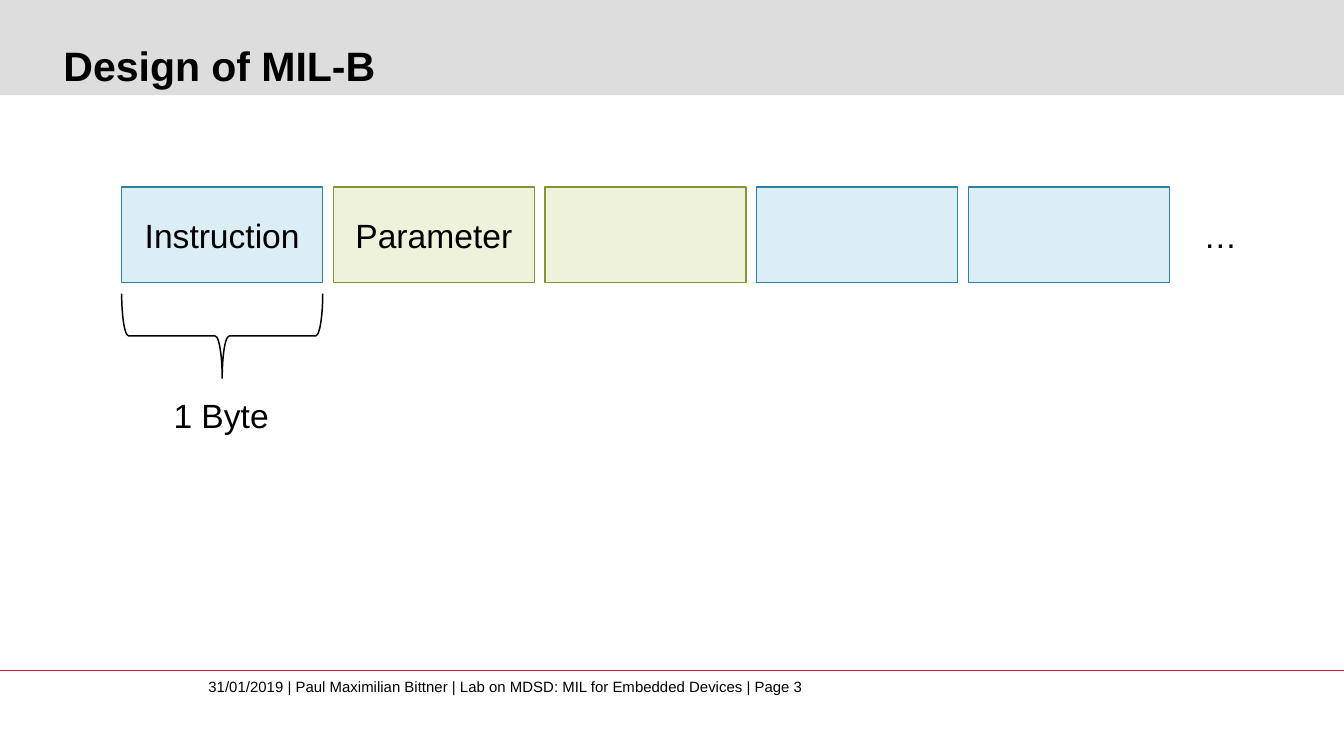
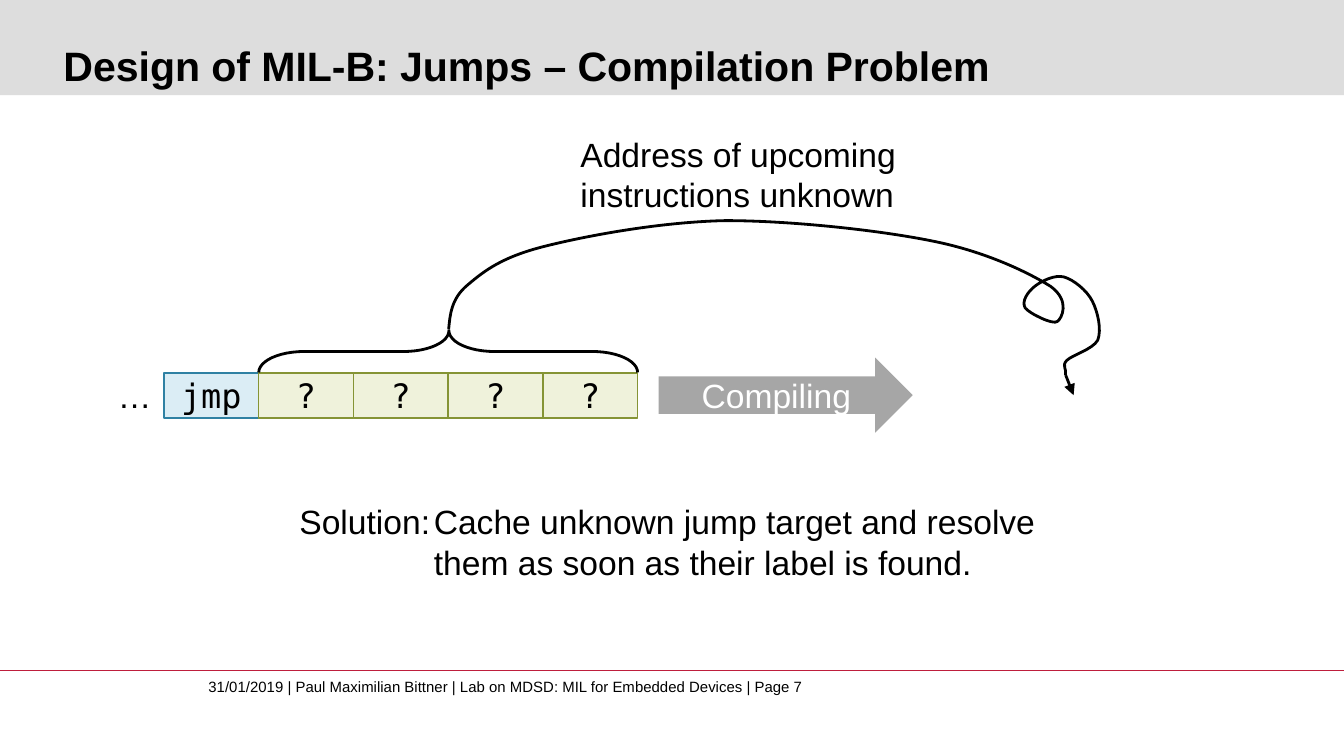
"""Build two slides on the design of MIL-B."""
from dataclasses import dataclass

from lxml import etree
from pptx import Presentation
from pptx.dml.color import RGBColor
from pptx.enum.shapes import MSO_CONNECTOR, MSO_SHAPE
from pptx.enum.text import MSO_ANCHOR, MSO_AUTO_SIZE, PP_ALIGN
from pptx.oxml.ns import qn
from pptx.util import Cm, Pt

RECTANGLE = MSO_SHAPE.RECTANGLE
RIGHT_ARROW = MSO_SHAPE.RIGHT_ARROW
LEFT_BRACE = MSO_SHAPE.LEFT_BRACE
STRAIGHT = MSO_CONNECTOR.STRAIGHT
LEFT, CENTER = PP_ALIGN.LEFT, PP_ALIGN.CENTER
TOP, MIDDLE, BOTTOM = MSO_ANCHOR.TOP, MSO_ANCHOR.MIDDLE, MSO_ANCHOR.BOTTOM
GROW, FIXED = MSO_AUTO_SIZE.SHAPE_TO_FIT_TEXT, MSO_AUTO_SIZE.NONE
TITLE_ONLY = 5


@dataclass(frozen=True)
class Theme:
    """Colours, fonts and sizes shared by the slides."""
    ink: str = "000000"
    paper: str = "FFFFFF"
    band: str = "DDDDDD"
    rule: str = "BE1E3C"
    arrow: str = "A6A6A6"
    instruction: tuple = ("DBEDF5", "2F81A3")
    parameter: tuple = ("EFF2DB", "859435")
    font: str = "Arial"
    mono: str = "DejaVu Sans Mono"
    title_size: float = 22
    body_size: float = 18
    footer_size: float = 8
    thin: float = 0.79
    thick: float = 1.5


@dataclass(frozen=True)
class Box:
    """A rectangle in centimetres."""
    x: float
    y: float
    w: float
    h: float

    def inner(self, dx, dy, w, h):
        """Return a box offset from this one's corner."""
        return Box(self.x + dx, self.y + dy, w, h)

    def lengths(self):
        """Return left, top, width and height as lengths."""
        return Cm(self.x), Cm(self.y), Cm(self.w), Cm(self.h)


THEME = Theme()
NO_INSETS = {f"margin_{side}": 0 for side in ("left", "top", "right", "bottom")}
PAGE = Box(0, 0, 25.4, 14.29)
CONTENT = Box(0, 1.8, 25.4, 10.87)
FOOTER = "31/01/2019 | Paul Maximilian Bittner | Lab on MDSD: MIL for Embedded Devices | Page {}"
JUMP_START = (0, 81)
JUMP_CURVE = [
    (1, 70), (2, 58), (14, 48), (27, 37), (40, 27), (72, 19),
    (104, 11), (158, 1), (206, 0), (254, 0), (319, 7), (359, 15),
    (400, 23), (432, 39), (448, 49), (463, 60), (456, 73), (453, 75),
    (450, 78), (432, 69), (429, 65), (426, 60), (431, 53), (436, 49),
    (441, 45), (451, 40), (458, 42), (465, 44), (475, 52), (479, 60),
    (483, 68), (486, 81), (483, 89), (479, 96), (464, 100), (460, 104),
    (456, 108), (460, 110), (459, 115),
]


def set_values(target, values):
    """Set each attribute named in a dict."""
    for name, value in values.items():
        setattr(target, name, value)


def write(shape, text, align=LEFT, size=THEME.body_size, font=THEME.font,
          color=THEME.ink, bold=False, **frame_values):
    """Fill a shape with uniformly formatted paragraphs."""
    frame = shape.text_frame
    frame.text = text
    set_values(frame, frame_values)
    for paragraph in frame.paragraphs:
        paragraph.alignment = align
        for run in paragraph.runs:
            set_values(run.font, {"size": Pt(size), "name": font, "bold": bold})
            run.font.color.rgb = RGBColor.from_string(color)


def stroke(shape, color, width):
    """Give a shape or connector a solid line."""
    shape.line.color.rgb = RGBColor.from_string(color)
    shape.line.width = Pt(width)


def paint(shape, fill=None, line=None, width=THEME.thin):
    """Set a shape's fill and line and remove its shadow."""
    shape.shadow.inherit = False
    if fill:
        shape.fill.solid()
        shape.fill.fore_color.rgb = RGBColor.from_string(fill)
    else:
        shape.fill.background()
    if line:
        stroke(shape, line, width)
    else:
        shape.line.fill.background()


def add_block(slide, box, kind=RECTANGLE, fill=None, line=None):
    """Add a painted preset shape."""
    block = slide.shapes.add_shape(kind, *box.lengths())
    paint(block, fill, line)
    return block


def add_label(slide, box, text, **values):
    """Add a text box that fits its text."""
    label = slide.shapes.add_textbox(*box.lengths())
    write(label, text, **{"word_wrap": False, "auto_size": GROW, **values})
    return label


def add_line(slide, start, end, color, width, arrow=False):
    """Add a straight line, optionally with an arrowhead."""
    line = slide.shapes.add_connector(STRAIGHT, *map(Cm, start + end))
    stroke(line, color, width)
    outline = line.element.find(".//" + qn("a:ln"))
    if arrow:
        etree.SubElement(outline, qn("a:tailEnd"), type="triangle")
    etree.SubElement(outline.getparent(), qn("a:effectLst"))


def add_brace(slide, box, rotation, width, adjustments=()):
    """Add a brace turned sideways so that it fills the box."""
    upright = box.inner((box.w - box.h) / 2, (box.h - box.w) / 2, box.h, box.w)
    brace = slide.shapes.add_shape(LEFT_BRACE, *upright.lengths())
    brace.rotation = rotation
    for index, value in enumerate(adjustments):
        brace.adjustments[index] = value
    paint(brace, line=THEME.ink, width=width)


def add_cells(slide, box, pitch, cells, font=THEME.font):
    """Add a row of byte cells starting at the given box."""
    for index, (text, (fill, line)) in enumerate(cells):
        cell = add_block(slide, box.inner(index * pitch, 0, box.w, box.h),
                         fill=fill, line=line)
        if text:
            write(cell, text, align=CENTER, font=font, vertical_anchor=MIDDLE)


def add_curve(slide, box, start, points):
    """Add a Bézier curve given in hundredths of an inch."""
    builder = slide.shapes.build_freeform(*start, scale=float(Cm(0.0254)))
    builder.add_line_segments(points, close=False)
    curve = builder.convert_to_shape(Cm(box.x), Cm(box.y))
    paint(curve, line=THEME.ink, width=THEME.thick)
    outline = curve.element.find(".//" + qn("a:path"))
    segments = outline.findall(qn("a:lnTo"))
    for first in range(0, len(segments), 3):
        bezier = etree.SubElement(outline, qn("a:cubicBezTo"))
        for segment in segments[first:first + 3]:
            bezier.append(segment[0])
            outline.remove(segment)


def add_frame(deck, title, page):
    """Add a slide with its band, title and footer."""
    slide = deck.slides.add_slide(deck.slide_layouts[TITLE_ONLY])
    add_line(slide, (0, 12.67), (PAGE.w, 12.67), THEME.rule, 0.75)
    add_label(slide, PAGE.inner(3.94, 12.8, 12.37, 0.69), FOOTER.format(page),
              size=THEME.footer_size, word_wrap=True, **NO_INSETS)
    add_block(slide, PAGE.inner(0, 0, PAGE.w, 1.8), fill=THEME.band)
    heading = slide.shapes.title
    heading.element.getparent().append(heading.element)
    places = PAGE.inner(1.2, 0.23, 23.27, 1.47).lengths()
    set_values(heading, dict(zip(("left", "top", "width", "height"), places)))
    write(heading, title, size=THEME.title_size, bold=True, word_wrap=True,
          auto_size=FIXED, vertical_anchor=BOTTOM, **NO_INSETS)
    return slide


def draw_byte_stream(slide, box):
    """Draw the byte stream with the size of one cell."""
    first = box.inner(2.3, 1.74, 3.8, 1.8)
    add_cells(slide, first, 4, [
        ("Instruction", THEME.instruction), ("Parameter", THEME.parameter),
        ("", THEME.parameter), ("", THEME.instruction), ("", THEME.instruction)])
    add_label(slide, first.inner(20.2, 0.4, 1.14, 1.02), "…")
    add_brace(slide, first.inner(0, 2.01, first.w, 1.6), 270, THEME.thin)
    add_label(slide, first.inner(0.73, 3.8, 2.34, 1.02), "1 Byte")


def draw_jump(slide, box):
    """Draw the jump instruction with its unknown target."""
    first = box.inner(3.1, 5.25, 1.79, 0.85)
    add_label(slide, first.inner(-1.12, -0.09, 1.14, 1.02), "…")
    add_cells(slide, first, first.w,
              [("jmp", THEME.instruction)] + [("?", THEME.parameter)] * 4, THEME.mono)
    add_brace(slide, first.inner(first.w, -0.8, 4 * first.w, 0.79), 90,
              THEME.thick, (1.084, 0.498))
    compiling = add_block(slide, box.inner(12.45, 4.96, 4.8, 1.42), RIGHT_ARROW, THEME.arrow)
    write(compiling, "Compiling", align=CENTER, color=THEME.paper, vertical_anchor=MIDDLE)
    add_curve(slide, box.inner(8.48, 2.37, 12.29, 2.9), JUMP_START, JUMP_CURVE)
    tip = box.inner(20.14, 5.29, 0.15, 0.38)
    add_line(slide, (tip.x, tip.y), (tip.x + tip.w, tip.y + tip.h),
             THEME.ink, THEME.thick, arrow=True)
    add_label(slide, box.inner(10.72, 0.61, 6.53, 1.8),
              "Address of upcoming\ninstructions unknown")


def draw_solution(slide, box):
    """Write the solution with its text aligned at a tab stop."""
    solution = add_label(slide, box.inner(5.41, 7.55, 14.86, 1.8),
                         "Solution:\tCache unknown jump target and resolve\n"
                         "\tthem as soon as their label is found.")
    for paragraph in solution.element.iter(qn("a:pPr")):
        stops = etree.SubElement(paragraph, qn("a:tabLst"))
        etree.SubElement(stops, qn("a:tab"), pos=str(Cm(2.54)), algn="l")


def main():
    """Build and save the deck."""
    deck = Presentation()
    set_values(deck, {"slide_width": Cm(PAGE.w), "slide_height": Cm(PAGE.h)})
    draw_byte_stream(add_frame(deck, "Design of MIL-B", 3), CONTENT)
    jumps = add_frame(deck, "Design of MIL-B: Jumps – Compilation Problem", 7)
    draw_jump(jumps, CONTENT)
    draw_solution(jumps, CONTENT)
    deck.save("out.pptx")


if __name__ == "__main__":
    main()
